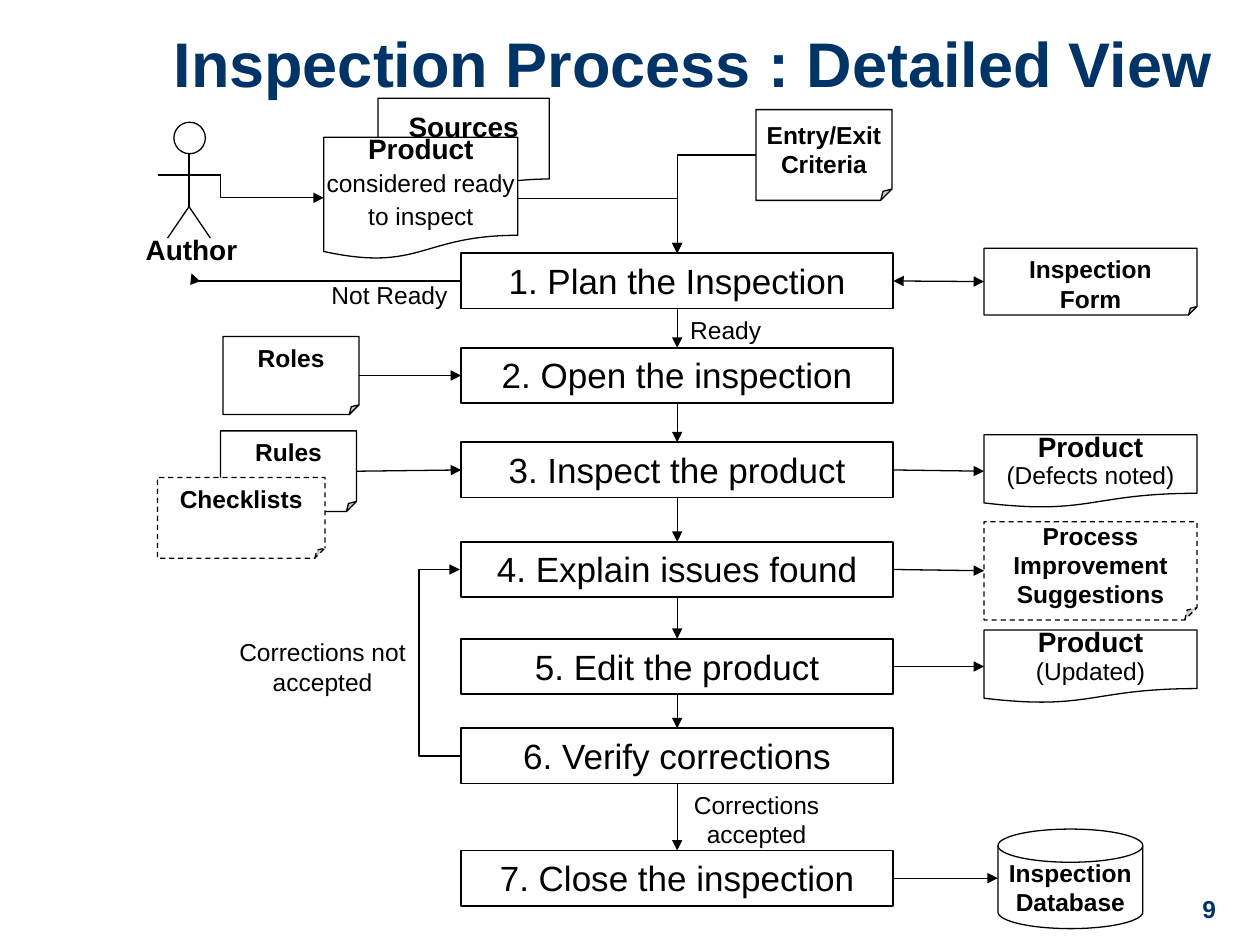
import pptx
import pptx.util
import pptx.dml.color
import pptx.enum.dml
import pptx.enum.shapes
import pptx.enum.text
import pptx.oxml.ns
from dataclasses import dataclass
from lxml import etree

Inches = pptx.util.Inches
Pt = pptx.util.Pt
Kind = pptx.enum.shapes.MSO_SHAPE
Link = pptx.enum.shapes.MSO_CONNECTOR
Align = pptx.enum.text.PP_ALIGN
Anchor = pptx.enum.text.MSO_ANCHOR
qn = pptx.oxml.ns.qn
TOP, LEFT, BOTTOM, RIGHT = range(4)


@dataclass(frozen=True)
class Theme:
    font: str = "Arial"
    ink: str = "000000"
    navy: str = "003366"
    paper: str = "FFFFFF"
    title: int = 36
    step: int = 20
    head: int = 16
    body: int = 14
    thin: float = 0.75
    thick: float = 1


theme = Theme()


def tint(code):
    return pptx.dml.color.RGBColor.from_string(code)


def write(shape, rows, align=Align.CENTER, anchor=Anchor.TOP, wrap=True,
          color=theme.ink, space=None, gap=0):
    frame = shape.text_frame
    frame.word_wrap = wrap
    frame.vertical_anchor = anchor
    for i, (text, size, bold) in enumerate(rows):
        para = frame.paragraphs[0] if i == 0 else frame.add_paragraph()
        para.text = text
        para.alignment = align
        if space:
            para.line_spacing = space
        if i:
            para.space_before = Pt(gap)
        para.font.name = theme.font
        para.font.size = Pt(size)
        para.font.bold = bold
        para.font.color.rgb = tint(color)


def add_box(home, kind, at, fill=True, width=theme.thin, dash=False):
    shape = home.add_shape(kind, *map(Inches, at))
    shape.shadow.inherit = False
    if fill:
        shape.fill.solid()
        shape.fill.fore_color.rgb = tint(theme.paper)
    else:
        shape.fill.background()
    shape.line.color.rgb = tint(theme.ink)
    shape.line.width = Pt(width)
    if dash:
        shape.line.dash_style = pptx.enum.dml.MSO_LINE.DASH
    return shape


def set_guide(shape, name, ratio):
    guides = shape._element.spPr.find(qn("a:prstGeom")).get_or_add_avLst()
    etree.SubElement(guides, qn("a:gd"), name=name,
                     fmla=f"val {round(ratio * 100000)}")


def add_step(home, text, top):
    shape = add_box(home, Kind.RECTANGLE, (3.66, top, 3.43, 0.44),
                    fill=False, width=theme.thick)
    write(shape, [(text, theme.step, False)])
    return shape


def add_note(home, lines, at, anchor=Anchor.TOP, dash=False):
    shape = add_box(home, Kind.FOLDED_CORNER, at, dash=dash)
    set_guide(shape, "adj", 0.125)
    write(shape, [(line, theme.body, True) for line in lines],
          anchor=anchor, wrap=False)
    return shape


def add_doc(home, head, lines, at, anchor, space):
    shape = add_box(home, Kind.FLOWCHART_DOCUMENT, at)
    rows = [(head, theme.head, True)]
    rows += [(line, theme.body, False) for line in lines]
    write(shape, rows, anchor=anchor, wrap=False, space=space, gap=8.8)
    return shape


def add_label(home, text, at, align=Align.CENTER, size=theme.body,
              bold=False, color=theme.ink):
    box = home.add_textbox(*map(Inches, at))
    write(box, [(text, size, bold)], align=align, color=color)
    return box


def add_line(home, start, end, kind=Link.STRAIGHT, tips=()):
    line = home.add_connector(kind, *map(Inches, start + end))
    line.line.color.rgb = tint(theme.ink)
    line.line.width = Pt(theme.thin)
    props = line._element.spPr
    for tip in tips:
        etree.SubElement(props.find(qn("a:ln")), qn(f"a:{tip}"), type="triangle")
    etree.SubElement(props, qn("a:effectLst"))
    return line


def join(home, start, side, end, other, tips=("tailEnd",), bent=False):
    kind = Link.ELBOW if bent else Link.STRAIGHT
    line = add_line(home, (0, 0), (0, 0), kind, tips)
    line.begin_connect(start, side)
    line.end_connect(end, other)
    if bent:
        make_corner(line)


def make_corner(line):
    line._element.spPr.find(qn("a:prstGeom")).set("prst", "bentConnector2")


def add_loop(home, start, end, reach):
    line = add_line(home, start, end, Link.ELBOW, ["tailEnd"])
    set_guide(line, "adj1", reach / (start[0] - end[0]))


def add_author(home):
    group = home.add_group_shape().shapes
    label = add_label(group, "Author", (1, 1.8, 1.04, 0.37),
                      size=theme.head, bold=True)
    add_box(group, Kind.OVAL, (1.38, 0.97, 0.25, 0.25), fill=False)
    hip = (1.5, 1.64)
    for start, end in [((1.5, 1.22), hip), (hip, (1.33, 1.89)),
                       (hip, (1.67, 1.89)), ((1.25, 1.39), (1.75, 1.39))]:
        add_line(group, start, end)
    return label


def add_sources(home):
    shape = add_doc(home, "Sources", [], (3, 0.78, 1.36, 0.8), Anchor.TOP, 0.6)
    shape.text_frame.margin_top = Inches(0.18)


def add_steps(home):
    texts = ["1. Plan the Inspection", "2. Open the inspection",
             "3. Inspect the product", "4. Explain issues found",
             "5. Edit the product", "6. Verify corrections",
             "7. Close the inspection"]
    tops = [2.01, 2.76, 3.51, 4.3, 5.07, 5.78, 6.75]
    steps = [add_step(home, text, top) for text, top in zip(texts, tops)]
    for upper, lower in zip(steps, steps[1:]):
        join(home, upper, BOTTOM, lower, TOP)
    add_loop(home, (3.66, 6), (3.65, 4.52), 0.34)
    return steps


def add_inputs(home, steps, author):
    product = add_doc(home, "Product", ["considered ready", "to inspect"],
                      (2.57, 1.09, 1.54, 0.97), Anchor.MIDDLE, 0.6)
    rule = add_note(home, ["Rules"], (1.75, 3.42, 1.08, 0.64))
    role = add_note(home, ["Roles"], (1.77, 2.67, 1.08, 0.62))
    add_note(home, ["Checklists"], (1.25, 3.79, 1.33, 0.64), dash=True)
    entry = add_note(home, ["Entry/Exit", "Criteria"],
                     (6, 0.87, 1.08, 0.72), Anchor.MIDDLE)
    join(home, role, RIGHT, steps[1], LEFT)
    join(home, rule, RIGHT, steps[2], LEFT)
    join(home, product, RIGHT, steps[0], TOP, bent=True)
    join(home, entry, LEFT, steps[0], TOP, bent=True)
    join(home, steps[0], LEFT, author, BOTTOM, bent=True)
    make_corner(add_line(home, (2.57, 1.57), (1.75, 1.39),
                         Link.ELBOW, ["headEnd"]))


def add_outputs(home, steps):
    left, width = 7.81, 1.69
    form = add_note(home, ["Inspection", "Form"], (left, 1.97, width, 0.53))
    flaws = add_doc(home, "Product", ["(Defects noted)"],
                    (left, 3.45, width, 0.58), Anchor.BOTTOM, 0.4)
    ideas = add_note(home, ["Process", "Improvement", "Suggestions"],
                     (left, 4.14, width, 0.78), Anchor.MIDDLE, dash=True)
    fresh = add_doc(home, "Product", ["(Updated)"],
                    (left, 5, width, 0.58), Anchor.BOTTOM, 0.4)
    join(home, steps[0], RIGHT, form, LEFT, ["headEnd", "tailEnd"])
    for step, out in zip(steps[2:5], [flaws, ideas, fresh]):
        join(home, step, RIGHT, out, LEFT)
    store = add_box(home, Kind.FLOWCHART_MAGNETIC_DISK, (7.92, 6.58, 1.15, 0.79))
    write(store, [(line, theme.body, True) for line in ("Inspection", "Database")],
          anchor=Anchor.MIDDLE, wrap=False)
    line = add_line(home, (7.09, 6.97), (7.92, 6.97), tips=["tailEnd"])
    line.begin_connect(steps[6], RIGHT)


def add_title(home):
    title = home.title
    title.left, title.top, title.width, title.height = map(
        Inches, (1.25, 0.08, 8.5, 0.83))
    write(title, [("Inspection Process : Detailed View", theme.title, True)],
          anchor=Anchor.MIDDLE, color=theme.navy)


def main():
    deck = pptx.Presentation()
    deck.slide_width, deck.slide_height = Inches(10), Inches(7.5)
    home = deck.slides.add_slide(deck.slide_layouts[5]).shapes
    add_title(home)
    add_sources(home)
    author = add_author(home)
    steps = add_steps(home)
    add_inputs(home, steps, author)
    add_outputs(home, steps)
    add_label(home, "Not Ready", (2.29, 2.17, 1.36, 0.34), Align.RIGHT)
    add_label(home, "Ready", (5.38, 2.45, 0.96, 0.34), Align.LEFT)
    add_label(home, "Corrections not accepted", (1.77, 5.01, 1.58, 0.57))
    add_label(home, "Corrections accepted", (5.38, 6.22, 1.25, 0.57))
    add_label(home, "9", (9.08, 7.05, 0.67, 0.33), Align.RIGHT,
              bold=True, color=theme.navy)
    deck.save("out.pptx")


if __name__ == "__main__":
    main()
